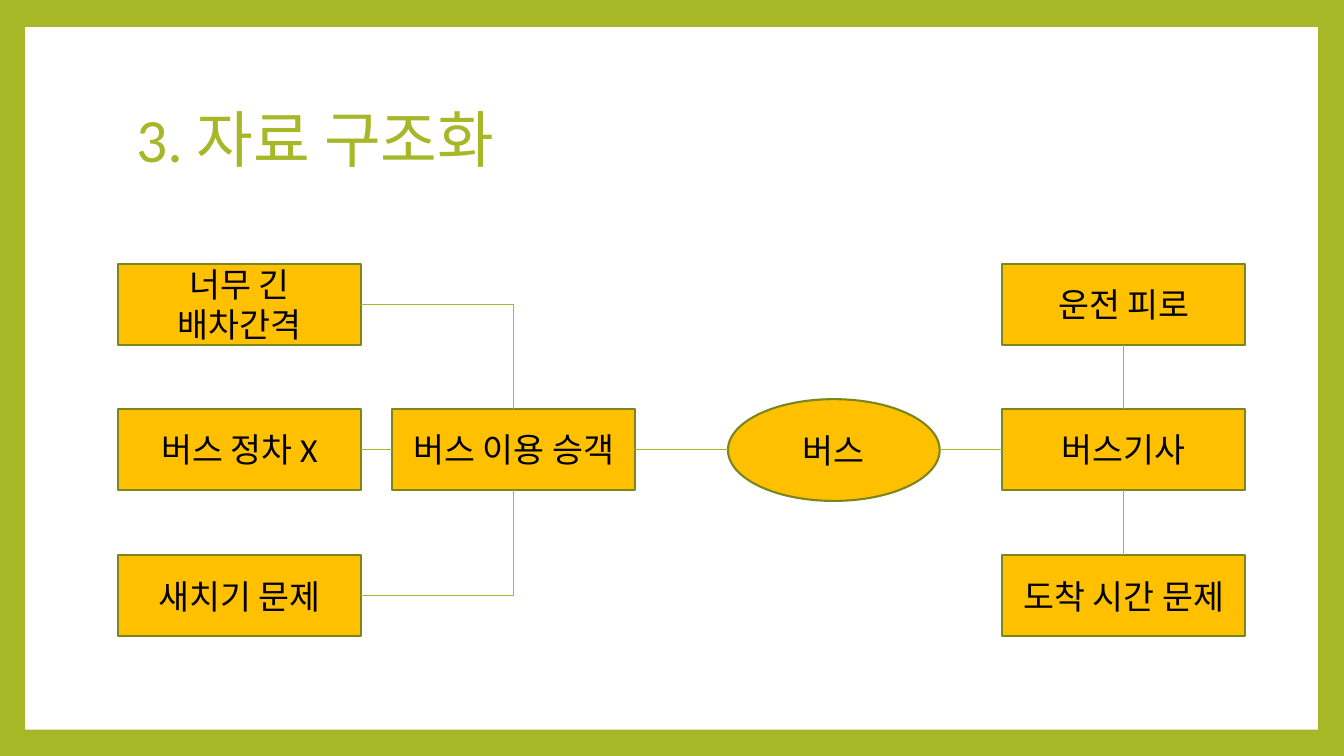
"""Build the bus problem structure slide."""
from lxml.etree import SubElement
from pptx import Presentation
from pptx.dml.color import RGBColor
from pptx.enum.shapes import MSO_CONNECTOR as LINK, MSO_SHAPE as SHAPE
from pptx.enum.text import MSO_ANCHOR as ANCHOR, MSO_AUTO_SIZE as FIT, PP_ALIGN as ALIGN
from pptx.oxml.ns import qn
from pptx.util import Inches, Pt

GREEN = RGBColor(0xA6, 0xB7, 0x27)
OLIVE = RGBColor(0x7B, 0x87, 0x1D)
GOLD = RGBColor(0xFF, 0xC0, 0x00)
WHITE = RGBColor(0xFF, 0xFF, 0xFF)
BLACK = RGBColor(0x00, 0x00, 0x00)


def write(shape, text, size=24, color=BLACK, align=ALIGN.CENTER, space=1.0):
    frame = shape.text_frame
    frame.text = text
    frame.word_wrap = True
    frame.auto_size = FIT.NONE
    frame.vertical_anchor = ANCHOR.MIDDLE
    para = frame.paragraphs[0]
    para.alignment = align
    para.line_spacing = space
    font = para.runs[0].font
    font.name = "Calibri"
    font.size = Pt(size)
    font.color.rgb = color


deck = Presentation()
deck.slide_width = Inches(13.33)
deck.slide_height = Inches(7.5)
slide = deck.slides.add_slide(deck.slide_layouts[5])
shapes = slide.shapes
back = slide.background.fill
back.solid()
back.fore_color.rgb = GREEN

panel = shapes.add_shape(SHAPE.RECTANGLE, Inches(0.25), Inches(0.27), Inches(12.82), Inches(6.97))
panel.shadow.inherit = False
panel.fill.solid()
panel.fill.fore_color.rgb = WHITE
panel.line.fill.background()
shapes._spTree.remove(panel.element)
shapes._spTree.insert(2, panel.element)

title = shapes.title
title.left, title.top = Inches(1.25), Inches(0.67)
title.width, title.height = Inches(10.8), Inches(1.48)
write(title, "3. 자료 구조화", size=44, color=GREEN, align=ALIGN.LEFT, space=0.9)

WIDE, HIGH = 2.41, 0.8
LEFT, INNER, RIGHT = 1.17, 3.89, 9.94
TOP, MID, LOW = 2.62, 4.06, 5.51
nodes = [
    ("hub", "버스", SHAPE.OVAL, 7.22, 3.96, 2.1, 1.01),
    ("rider", "버스 이용 승객", SHAPE.RECTANGLE, INNER, MID, WIDE, HIGH),
    ("stop", "버스 정차 X", SHAPE.RECTANGLE, LEFT, MID, WIDE, HIGH),
    ("wait", "너무 긴 배차간격", SHAPE.RECTANGLE, LEFT, TOP, WIDE, HIGH),
    ("driver", "버스기사", SHAPE.RECTANGLE, RIGHT, MID, WIDE, HIGH),
    ("tired", "운전 피로", SHAPE.RECTANGLE, RIGHT, TOP, WIDE, HIGH),
    ("queue", "새치기 문제", SHAPE.RECTANGLE, LEFT, LOW, WIDE, HIGH),
    ("late", "도착 시간 문제", SHAPE.RECTANGLE, RIGHT, LOW, WIDE, HIGH),
]
boxes = {}
for name, text, kind, left, top, width, height in nodes:
    box = shapes.add_shape(kind, Inches(left), Inches(top), Inches(width), Inches(height))
    box.shadow.inherit = False
    box.fill.solid()
    box.fill.fore_color.rgb = GOLD
    box.line.color.rgb = OLIVE
    box.line.width = Pt(1.5)
    write(box, text)
    boxes[name] = box

hub = boxes["hub"]
links = [
    ("rider", 3, "hub", 1, LINK.STRAIGHT),
    ("wait", 3, "rider", 0, LINK.ELBOW),
    ("stop", 3, "rider", 1, LINK.STRAIGHT),
    ("driver", 1, "hub", 3, LINK.STRAIGHT),
    ("tired", 2, "driver", 0, LINK.STRAIGHT),
    ("driver", 2, "late", 0, LINK.STRAIGHT),
    ("queue", 3, "rider", 2, LINK.ELBOW),
]
for start, exit, end, entry, kind in links:
    edge = hub.left if entry == 1 else hub.left + hub.width
    level = Inches(MID + HIGH / 2)
    link = shapes.add_connector(kind, edge, level, edge, level)
    link.begin_connect(boxes[start], exit)
    if end != "hub":
        link.end_connect(boxes[end], entry)
    if kind == LINK.ELBOW:
        link.element.spPr.find(qn("a:prstGeom")).set("prst", "bentConnector2")
    link.line.color.rgb = GREEN
    link.line.width = Pt(0.79)
    SubElement(link.element.spPr, qn("a:effectLst"))

deck.save("out.pptx")
